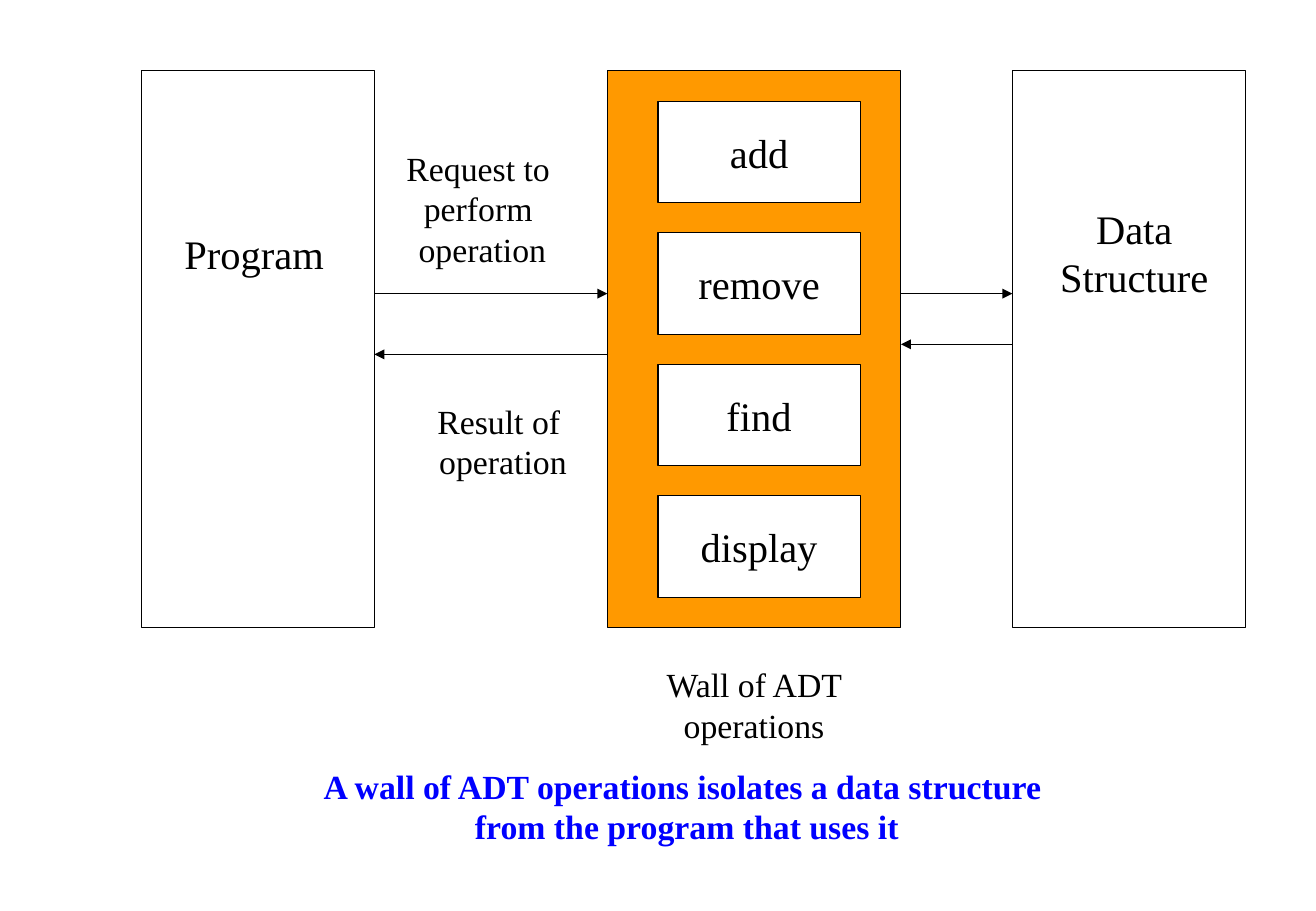
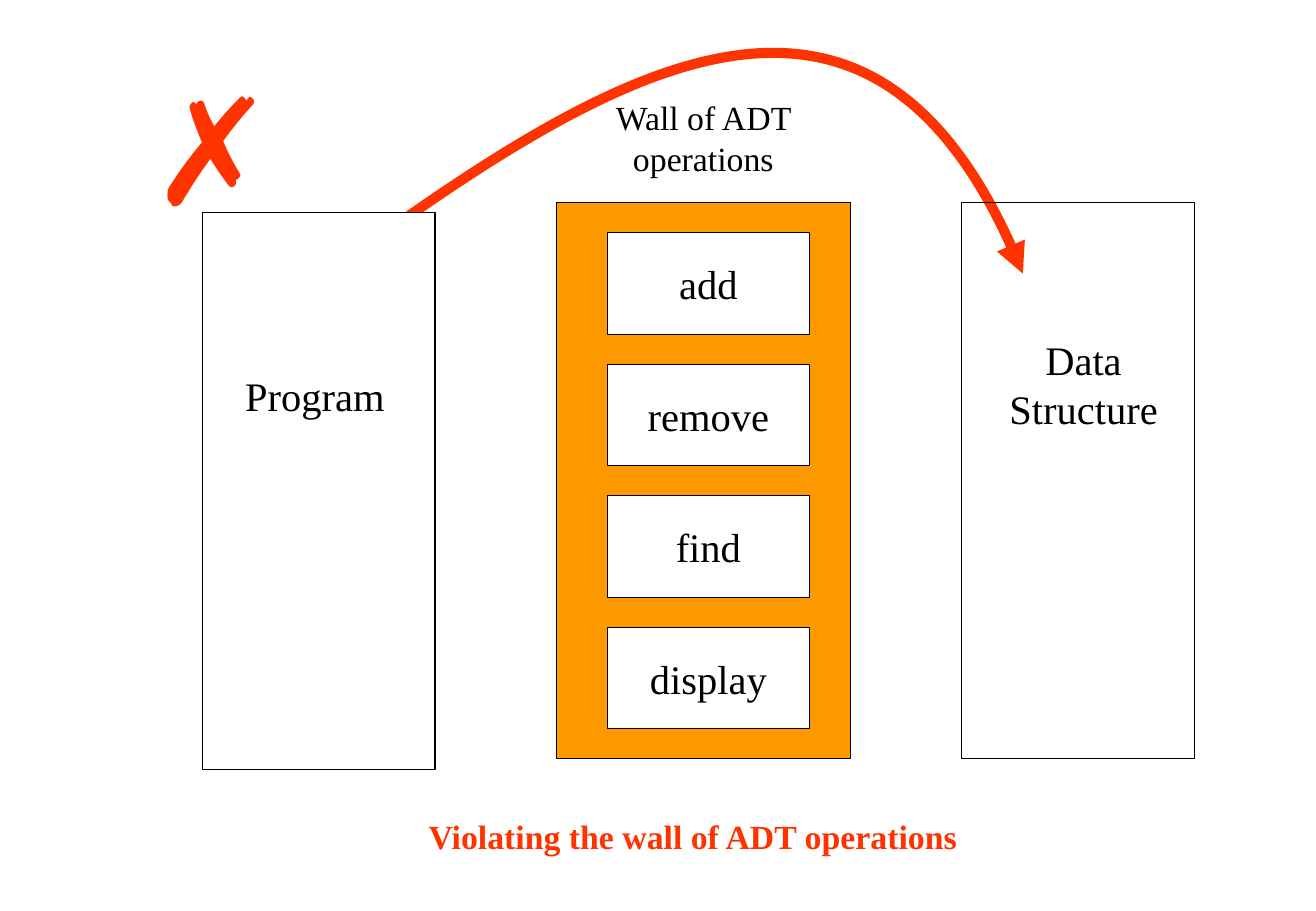
"""Build two slides on the wall of ADT operations between a program and its data."""
from lxml.etree import SubElement
from pptx import Presentation
from pptx.dml.color import RGBColor
from pptx.enum.shapes import MSO_CONNECTOR, MSO_SHAPE
from pptx.enum.text import MSO_ANCHOR, PP_ALIGN
from pptx.oxml.ns import qn
from pptx.util import Cm, Pt

COLOURS = {
    "ink": "000000",
    "paper": "FFFFFF",
    "wall": "FF9900",
    "message": "0000FF",
    "warning": "FF3300",
}
OPERATIONS = ["add", "remove", "find", "display"]
SIDE_WIDTH, WALL_WIDTH, BLOCK_HEIGHT = 4.87, 6.14, 11.64
OPERATION_WIDTH, OPERATION_HEIGHT, OPERATION_PITCH = 4.23, 2.12, 2.75


def add_box(slide, left, top, width, height, fill=None):
    shape = slide.shapes.add_shape(
        MSO_SHAPE.RECTANGLE, Cm(left), Cm(top), Cm(width), Cm(height)
    )
    shape.shadow.inherit = False
    if fill:
        shape.fill.solid()
        shape.fill.fore_color.rgb = RGBColor.from_string(COLOURS[fill])
    else:
        shape.fill.background()
    shape.line.color.rgb = RGBColor.from_string(COLOURS["ink"])
    shape.line.width = Pt(0.75)
    return shape


def write(shape, lines, size, colour="ink", bold=False, wrap=False, font="Times New Roman"):
    frame = shape.text_frame
    frame.word_wrap = wrap
    frame.vertical_anchor = MSO_ANCHOR.MIDDLE
    for index, line in enumerate(lines):
        paragraph = frame.add_paragraph() if index else frame.paragraphs[0]
        paragraph.alignment = PP_ALIGN.CENTER
        run = paragraph.add_run()
        run.text = line
        run.font.name = font
        run.font.size = Pt(size)
        run.font.bold = bold
        run.font.color.rgb = RGBColor.from_string(COLOURS[colour])


presentation = Presentation()
presentation.slide_width = Cm(27.52)
presentation.slide_height = Cm(19.05)
blank = presentation.slide_layouts[6]
isolation = presentation.slides.add_slide(blank)
violation = presentation.slides.add_slide(blank)

builder = violation.shapes.build_freeform(Cm(5.72), Cm(6.56))
bypass_points = [(11.91, 2.01), (18.08, -2.54), (21.39, 5.72)]
builder.add_line_segments([(Cm(x), Cm(y)) for x, y in bypass_points], close=False)
bypass = builder.convert_to_shape()
bypass.shadow.inherit = False
bypass.fill.background()
bypass.line.color.rgb = RGBColor.from_string(COLOURS["warning"])
bypass.line.width = Pt(6)
outline = bypass.element.spPr.find(".//" + qn("a:path"))
segments = outline.findall(qn("a:lnTo"))
curve = SubElement(outline, qn("a:cubicBezTo"))
for segment in segments:
    curve.append(segment.find(qn("a:pt")))
    outline.remove(segment)
arrows = [bypass]

layouts = [
    (isolation, (2.96, 1.48), (12.7, 1.48), (21.17, 1.48), 13.76),
    (violation, (4.23, 4.45), (11.64, 4.23), (20.11, 4.23), 1.9),
]
for slide, program, wall, data, caption_top in layouts:
    add_box(slide, *program, SIDE_WIDTH, BLOCK_HEIGHT, "paper")
    add_box(slide, *wall, WALL_WIDTH, BLOCK_HEIGHT, "wall")
    add_box(slide, *data, SIDE_WIDTH, BLOCK_HEIGHT)
    for row, operation in enumerate(OPERATIONS):
        top = wall[1] + 0.64 + row * OPERATION_PITCH
        operation_box = add_box(
            slide, wall[0] + 1.06, top, OPERATION_WIDTH, OPERATION_HEIGHT, "paper"
        )
        write(operation_box, [operation], 24)
    labels = [
        (program[0] + 0.64, program[1] + 3.18, 3.43, 1.27, ["Program"], 24, False),
        (data[0] + 0.55, data[1] + 2.66, 4, 2.28, ["Data", "Structure"], 24, False),
        (wall[0] + 0.21, caption_top, 5.72, 1.95, ["Wall of ADT operations"], 20, True),
    ]
    for left, top, width, height, lines, size, wrap in labels:
        label = slide.shapes.add_textbox(Cm(left), Cm(top), Cm(width), Cm(height))
        write(label, lines, size, wrap=wrap)

flows = [
    (7.83, 12.7, 6.14),
    (12.7, 7.83, 7.41),
    (18.84, 21.17, 6.14),
    (21.17, 18.84, 7.2),
]
for start, end, height in flows:
    connector = isolation.shapes.add_connector(
        MSO_CONNECTOR.STRAIGHT, Cm(start), Cm(height), Cm(end), Cm(height)
    )
    connector.line.color.rgb = RGBColor.from_string(COLOURS["ink"])
    connector.line.width = Pt(0.75)
    SubElement(connector.element.spPr, qn("a:effectLst"))
    arrows.append(connector)

for arrow in arrows:
    SubElement(arrow.element.spPr.find(qn("a:ln")), qn("a:tailEnd"), type="triangle")

request = ["Request to ", "perform ", "operation"]
result = ["Result of ", "operation"]
message = ["A wall of ADT operations isolates a data structure ", "from the program that uses it"]
warning = ["Violating the wall of ADT operations"]
notes = [
    (isolation, 8.09, 2.96, 4, 2.8, request, "ink", False),
    (isolation, 8.89, 8.25, 3.26, 1.95, result, "ink", False),
    (isolation, 6.46, 15.88, 15.81, 1.95, message, "message", True),
    (violation, 8.67, 16.93, 11.64, 1.12, warning, "warning", True),
]
for slide, left, top, width, height, lines, colour, bold in notes:
    note = slide.shapes.add_textbox(Cm(left), Cm(top), Cm(width), Cm(height))
    write(note, lines, 20, colour, bold)

cross = violation.shapes.add_textbox(Cm(2.9), Cm(1.06), Cm(2.62), Cm(3.98))
write(cross, ["✗"], 88, "warning", font="Arial")

presentation.save("out.pptx")
